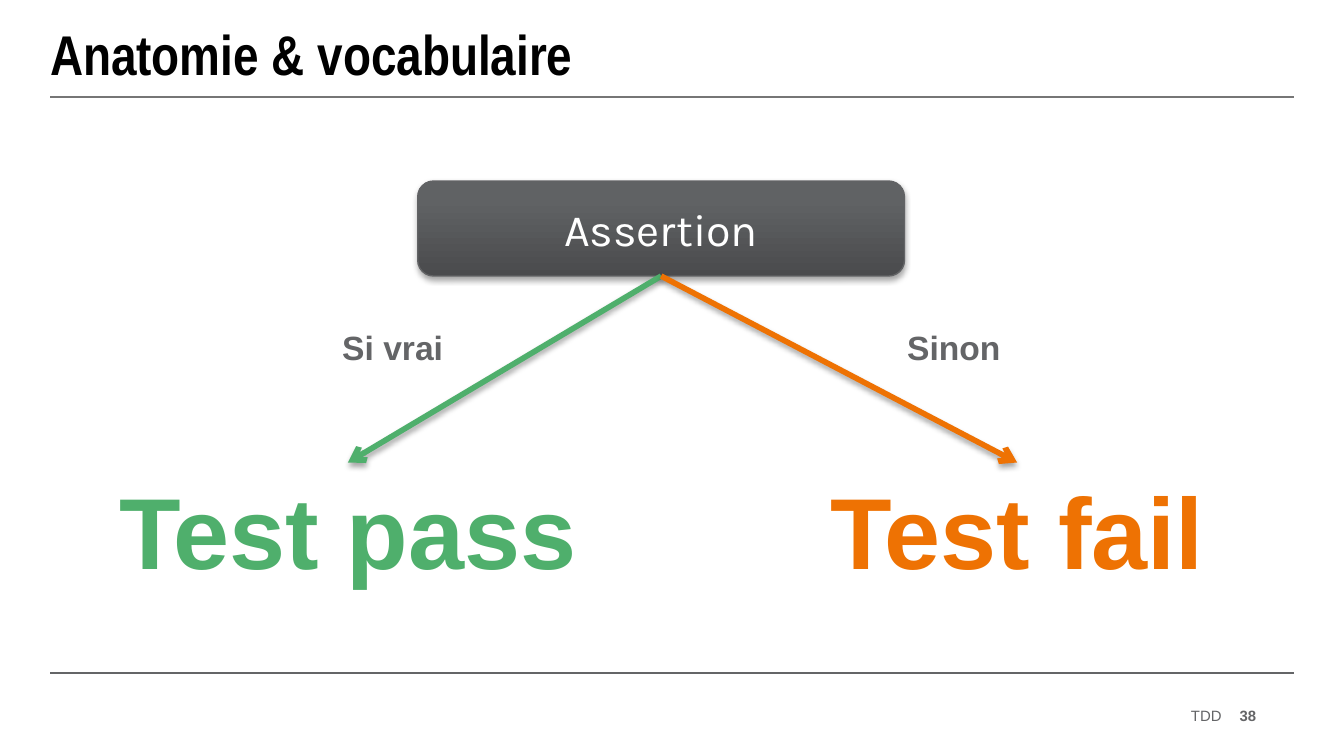
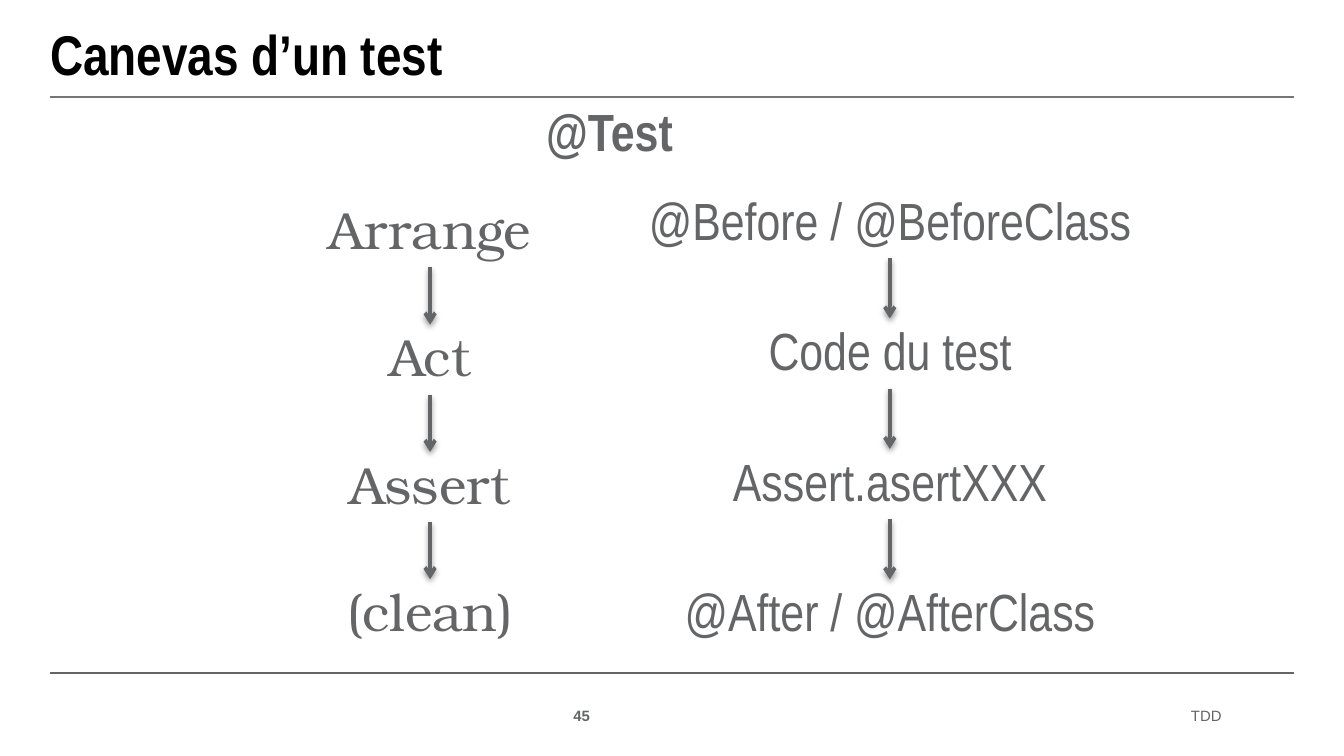
import itertools

import lxml.etree
import pptx
import pptx.dml.color
import pptx.enum.shapes
import pptx.enum.text
import pptx.oxml.ns
import pptx.util

Pt = pptx.util.Pt
qn = pptx.oxml.ns.qn
ALIGN = pptx.enum.text.PP_ALIGN
MIDDLE = pptx.enum.text.MSO_ANCHOR.MIDDLE

GREY, BLACK, WHITE = "646567", "000000", "FFFFFF"
GREEN, ORANGE = "4FAF6C", "EE7203"
RULE_GREY, BORDER = "767676", "626365"
GRADIENT = [(0, "4A4B4D"), (80, "606264"), (100, "616265")]
BOX_SHADOW = (35, 1.8)
STEP_SHADOW = (38, 1.6)
SHADOW_BLUR = 3.1

TITLE = {"name": "Arial Narrow", "size": Pt(30), "bold": True}
FOOTER = {"name": "Arial", "size": Pt(8)}
PAGE_NUMBER = {**FOOTER, "bold": True}
ASSERTION = {"name": "Karla", "size": Pt(24)}
OUTCOME = {"name": "Arial", "size": Pt(54), "bold": True}
CONDITION = {"name": "Arial", "size": Pt(18), "bold": True}
PHASE = {"name": "TeX Gyre Bonum", "size": Pt(28)}
CODE = {"name": "Arial Narrow", "size": Pt(28)}
ANNOTATION = {**CODE, "bold": True}
STEP_HEIGHT = 37.6


def rgb(hex_color):
    """Turn a hex string into a colour."""
    return pptx.dml.color.RGBColor.from_string(hex_color)


def write(shape, text, style, color, align=ALIGN.CENTER, insets=(0, 0), anchor=None):
    """Put one styled paragraph into a shape."""
    frame = shape.text_frame
    across, down = map(Pt, insets)
    layout = {
        "word_wrap": True, "vertical_anchor": anchor,
        "margin_left": across, "margin_right": across,
        "margin_top": down, "margin_bottom": down,
    }
    for key, value in layout.items():
        setattr(frame, key, value)
    paragraph = frame.paragraphs[0]
    paragraph.alignment = align
    run = paragraph.add_run()
    run.text = text
    for key, value in style.items():
        setattr(run.font, key, value)
    run.font.color.rgb = rgb(color)


def add_text(slide, box, text, style, color=GREY, **layout):
    """Add a text box at (left, top, width, height)."""
    label = slide.shapes.add_textbox(*map(Pt, box))
    write(label, text, style, color, **layout)
    return label


def set_shadow(shape, shadow=None):
    """Replace the theme effects by a downward shadow or by none."""
    properties = shape._element.spPr
    effects = properties.find(qn("a:effectLst"))
    if effects is None:
        effects = lxml.etree.SubElement(properties, qn("a:effectLst"))
    if shadow:
        opacity, distance = shadow
        outer = lxml.etree.SubElement(
            effects, qn("a:outerShdw"), blurRad=str(Pt(SHADOW_BLUR)),
            dist=str(Pt(distance)), dir="5400000", rotWithShape="0")
        tint = lxml.etree.SubElement(outer, qn("a:srgbClr"), val=BLACK)
        lxml.etree.SubElement(tint, qn("a:alpha"), val=str(opacity * 1000))


def add_line(slide, color, width, ends=(0, 0, 0, 0)):
    """Add a straight line in one colour."""
    straight = pptx.enum.shapes.MSO_CONNECTOR.STRAIGHT
    line = slide.shapes.add_connector(straight, *map(Pt, ends))
    line.line.color.rgb = rgb(color)
    line.line.width = Pt(width)
    return line


def add_arrow(slide, upper, lower, color, width, shadow):
    """Join the bottom of one shape to the top of another."""
    arrow = add_line(slide, color, width)
    arrow.begin_connect(upper, 2)
    arrow.end_connect(lower, 0)
    outline = arrow.line._get_or_add_ln()
    lxml.etree.SubElement(outline, qn("a:tailEnd"), type="arrow")
    set_shadow(arrow, shadow)


def add_assertion(slide, box, text):
    """Add the rounded box with its grey gradient."""
    rounded = pptx.enum.shapes.MSO_SHAPE.ROUNDED_RECTANGLE
    assertion = slide.shapes.add_shape(rounded, *map(Pt, box))
    assertion.fill.gradient()
    assertion.fill.gradient_angle = 90
    stops = assertion._element.spPr.find(".//" + qn("a:gsLst"))
    for stop in list(stops):
        stops.remove(stop)
    for position, color in GRADIENT:
        stop = lxml.etree.SubElement(stops, qn("a:gs"), pos=str(position * 1000))
        lxml.etree.SubElement(stop, qn("a:srgbClr"), val=color)
    assertion.line.color.rgb = rgb(BORDER)
    assertion.line.width = Pt(0.75)
    assertion.shadow.inherit = False
    set_shadow(assertion, BOX_SHADOW)
    write(assertion, text, ASSERTION, WHITE, insets=(7.2, 7.2), anchor=MIDDLE)
    return assertion


def add_page(deck, title, number, number_left):
    """Add a slide with its rules, title and footer."""
    slide = deck.slides.add_slide(deck.slide_layouts[6])
    for top, color in ((360.7, GREY), (52, RULE_GREY)):
        set_shadow(add_line(slide, color, 1, (26.8, top, 693.4, top)))
    add_text(slide, (26.8, 6.5, 666, 43.9), title, TITLE, BLACK,
             align=ALIGN.LEFT, anchor=MIDDLE)
    for box, text, style in (
        ((496, 378, 158.5, 10.8), "TDD", FOOTER),
        ((number_left, 378, 14.4, 10.8), number, PAGE_NUMBER),
    ):
        add_text(slide, box, text, style, align=ALIGN.RIGHT, anchor=MIDDLE)
    return slide


def add_steps(slide, left, top, width, pitch, steps, style):
    """Add a column of steps joined by arrows."""
    labels = [
        add_text(slide, (left, top + row * pitch, width, STEP_HEIGHT), step, style)
        for row, step in enumerate(steps)
    ]
    for upper, lower in itertools.pairwise(labels):
        add_arrow(slide, upper, lower, GREY, 2, STEP_SHADOW)


def add_vocabulary(deck):
    """Build the slide on an assertion and its two outcomes."""
    slide = add_page(deck, "Anatomie & vocabulaire", "38", 658.6)
    assertion = add_assertion(slide, (223.8, 97, 260.8, 50.9), "Assertion")
    for left, outcome, color, condition_left, condition in (
        (52.5, "Test pass", GREEN, 167.2, "Si vrai"),
        (411, "Test fail", ORANGE, 467.8, "Sinon"),
    ):
        result = add_text(slide, (left, 247.8, 267.8, 72.7), outcome, OUTCOME,
                          color, insets=(7.2, 3.6))
        result.text_frame.auto_size = pptx.enum.text.MSO_AUTO_SIZE.SHAPE_TO_FIT_TEXT
        add_arrow(slide, assertion, result, color, 3, BOX_SHADOW)
        add_text(slide, (condition_left, 175, 86.4, 22.3), condition, CONDITION)


def add_test_outline(deck):
    """Build the slide that pairs test phases with their code."""
    slide = add_page(deck, "Canevas d’un test", "45", 301.7)
    add_text(slide, (230.4, 53.3, 192.2, STEP_HEIGHT), "@Test", ANNOTATION)
    add_steps(slide, 162, 105.7, 136.8, 68.2,
              ("Arrange", "Act", "Assert", "(clean)"), PHASE)
    add_steps(slide, 326.2, 100.7, 301, 69.9,
              ("@Before / @BeforeClass", "Code du test",
               "Assert.asertXXX", "@After / @AfterClass"), CODE)


def main():
    """Build and save the deck."""
    deck = pptx.Presentation()
    deck.slide_width, deck.slide_height = Pt(720), Pt(405)
    add_vocabulary(deck)
    add_test_outline(deck)
    deck.save("out.pptx")


if __name__ == "__main__":
    main()
